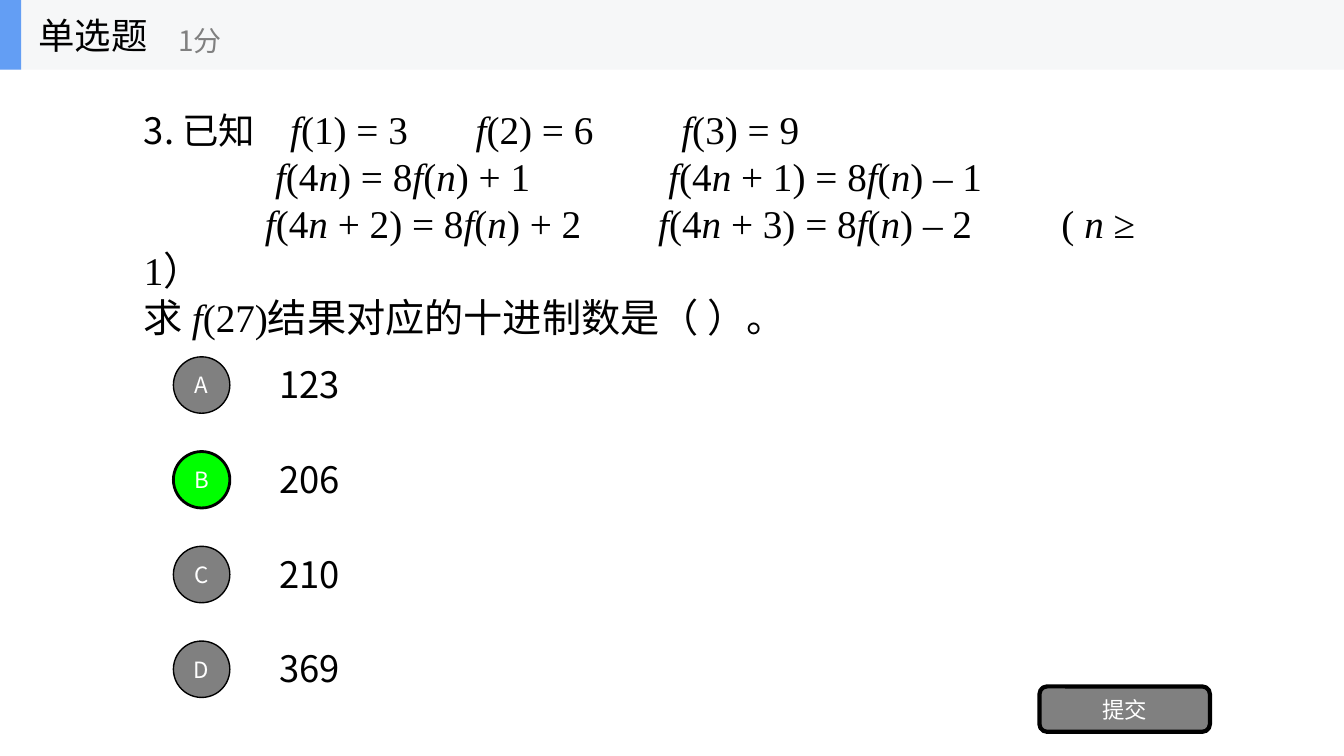
from itertools import groupby

from lxml import etree
from pptx import Presentation
from pptx import util as u
from pptx.dml.color import RGBColor
from pptx.enum import shapes, text
from pptx.oxml.ns import qn

BLACK = RGBColor(0x00, 0x00, 0x00)
WHITE = RGBColor(0xFF, 0xFF, 0xFF)
GRAY = RGBColor(0x80, 0x80, 0x80)
GREEN = RGBColor(0x00, 0xFF, 0x00)
BAND = RGBColor(0xF6, 0xF7, 0xF8)
BLUE = RGBColor(0x63, 0x9E, 0xF4)
SANS = "Noto Sans CJK SC"
SERIF = "Times New Roman"


def add_span(para, words, size, color=BLACK, font=SANS, italic=False):
    span = para.add_run()
    span.text = words
    look = {"name": font, "size": u.Pt(size), "italic": italic, "bold": False}
    for key, value in look.items():
        setattr(span.font, key, value)
    span.font.color.rgb = color
    east_asian = etree.SubElement(span.font._element, qn("a:ea"))
    east_asian.set("typeface", SANS)


def add_block(kind, place, fill, line_width=0, label=""):
    """Add a filled shape with an optional black outline and white label."""
    block = page.shapes.add_shape(kind, *map(u.Inches, place))
    block.shadow.inherit = False
    block.fill.solid()
    block.fill.fore_color.rgb = fill
    if line_width:
        block.line.color.rgb = BLACK
        block.line.width = u.Pt(line_width)
    else:
        block.line.fill.background()
    if label:
        frame = block.text_frame
        for side in ("left", "right", "top", "bottom"):
            setattr(frame, f"margin_{side}", 0)
        frame.vertical_anchor = text.MSO_ANCHOR.MIDDLE
        frame.paragraphs[0].alignment = text.PP_ALIGN.CENTER
        add_span(frame.paragraphs[0], label, 16, WHITE)


deck = Presentation()
deck.slide_width, deck.slide_height = u.Inches(13.33), u.Inches(7.5)
page = deck.slides.add_slide(deck.slide_layouts[5])

# Header band, with the title brought in front of it
SHAPE = shapes.MSO_SHAPE
add_block(SHAPE.RECTANGLE, (0, 0, 13.33, 0.69), BAND)
add_block(SHAPE.RECTANGLE, (0, 0, 0.21, 0.69), BLUE)
title = page.shapes.title
page.shapes._spTree.append(title._element)
score = page.shapes.add_textbox(0, 0, 0, 0)
question = page.shapes.add_textbox(0, 0, 0, 0)

options = [("A", "123"), ("B", "206"), ("C", "210"), ("D", "369")]
boxes = [
    (title, (0.28, 0, 2.08, 0.69), "单选题", 26, BLACK),
    (score, (1.67, 0.12, 2.5, 0.56), "1分", 20, GRAY),
    (question, (1.33, 1.12, 10.67, 2.19), "3. 已知", 26, BLACK),
]
for row, (letter, answer) in enumerate(options):
    top = 3.46 + 0.94 * row
    correct = letter == "B"
    add_block(SHAPE.OVAL, (1.72, top + 0.08, 0.56, 0.56),
              GREEN if correct else GRAY, 2 if correct else 1, letter)
    option = page.shapes.add_textbox(0, 0, 0, 0)
    boxes.append((option, (2.67, top, 9.33, 0.7), answer, 26, BLACK))

for box, place, words, size, color in boxes:
    for side, length in zip(("left", "top", "width", "height"), place):
        setattr(box, side, u.Inches(length))
    frame = box.text_frame
    frame.word_wrap = True
    frame.auto_size = text.MSO_AUTO_SIZE.NONE
    frame.vertical_anchor = text.MSO_ANCHOR.MIDDLE
    frame.paragraphs[0].alignment = text.PP_ALIGN.LEFT
    add_span(frame.paragraphs[0], words, size, color)

# Question: each line with its tab stops, in inches
question_lines = [
    ("\tf(1) = 3\tf(2) = 6\tf(3) = 9", (1.45, 3.29, 5.33)),
    ("\tf(4n) = 8f(n) + 1\tf(4n + 1) = 8f(n) – 1", (1.3, 5.2)),
    ("\tf(4n + 2) = 8f(n) + 2\tf(4n + 3) = 8f(n) – 2\t( n ≥\v1）",
     (1.2, 5.1, 9.1)),
    ("求 f(27)结果对应的十进制数是（ ）。", ()),
]
frame = question.text_frame
for number, (words, stops) in enumerate(question_lines):
    para = frame.add_paragraph() if number else frame.paragraphs[0]
    para.line_spacing = u.Pt(33.6)
    if stops:
        tabs = etree.SubElement(para._p.get_or_add_pPr(), qn("a:tabLst"))
        for stop in stops:
            etree.SubElement(tabs, qn("a:tab"), pos=str(u.Inches(stop)), algn="l")
    for part, line in enumerate(words.split("\v")):
        if part:
            para.add_line_break()
        # Variables are italic serif, Chinese is sans, the rest upright serif
        for (italic, chinese), letters in groupby(
                line, lambda char: (char in "fn", char >= "⺀")):
            add_span(para, "".join(letters), 28,
                     font=SANS if chinese else SERIF, italic=italic)

add_block(SHAPE.ROUNDED_RECTANGLE, (10.31, 6.81, 1.69, 0.45), GRAY, 3, "提交")

deck.save("out.pptx")
